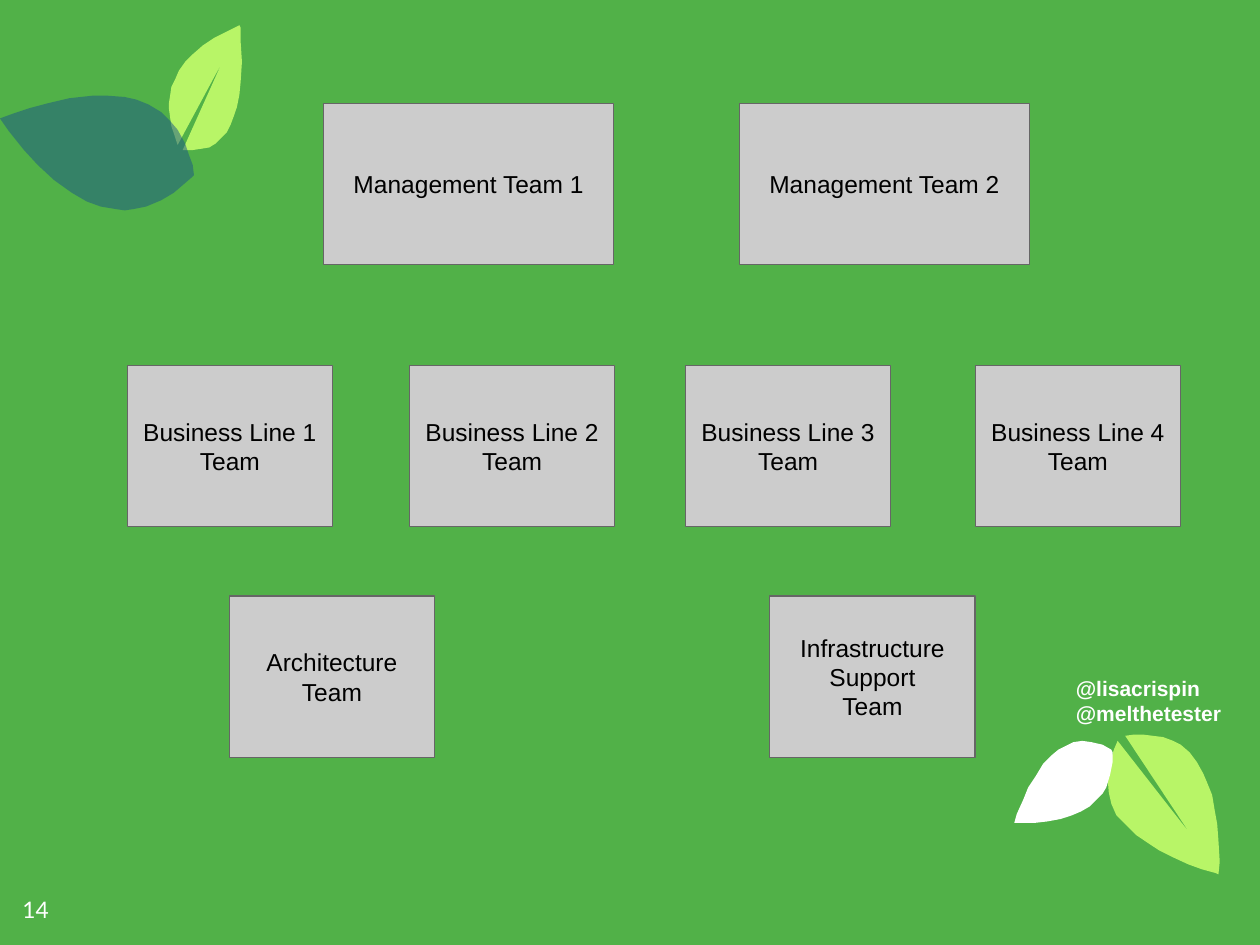
from lxml.etree import SubElement
from pptx import Presentation
from pptx.dml.color import RGBColor
from pptx.enum.shapes import MSO_SHAPE as Preset
from pptx.enum.text import MSO_ANCHOR as Anchor, PP_ALIGN as Align
from pptx.oxml.ns import qn
from pptx.util import Inches, Pt

WIDTH, HEIGHT = 10, 7.5
GREEN, LIME, BLUE, WHITE = "51B148", "B8F567", "1D5885", "FFFFFF"
GREY, EDGE, BLACK = "CCCCCC", "666666", "000000"
ROW_HEIGHT = 17.07

DARK_LEAF = [
    (154, 63), (153, 55), (150, 47), (147, 38), (141, 27), (135, 20), (128, 13), (118, 7),
    (108, 3), (99, 1), (86, 0), (73, 0), (55, 2), (38, 6), (23, 10), (11, 14), (0, 18),
    (7, 28), (19, 43), (30, 55), (43, 67), (57, 77), (69, 84), (80, 88), (92, 90),
    (99, 91), (106, 90), (116, 88), (128, 83), (138, 77), (145, 71), (152, 65)]
UPRIGHT_LEAF = [
    (0, 66), (1, 73), (2, 80), (4, 86), (7, 95), (42, 30), (11, 99), (19, 99), (26, 98),
    (32, 97), (37, 94), (42, 89), (46, 85), (49, 79), (52, 71), (54, 65), (56, 55),
    (57, 45), (58, 29), (57, 13), (57, 2), (56, 0), (50, 3), (44, 6), (36, 10), (27, 16),
    (19, 23), (13, 29), (8, 36), (5, 43), (2, 49), (1, 56), (0, 62)]
WHITE_LEAF = [
    (77, 7), (70, 3), (61, 1), (54, 0), (47, 1), (41, 4), (35, 7), (29, 12), (23, 18),
    (17, 28), (11, 37), (7, 47), (2, 58), (0, 65), (6, 65), (17, 65), (26, 64), (37, 62),
    (46, 59), (53, 56), (60, 52), (65, 47), (70, 42), (73, 37), (76, 27), (78, 17), (78, 9)]
DROOPING_LEAF = [
    (76, 31), (71, 22), (65, 14), (58, 8), (52, 5), (44, 2), (36, 1), (28, 0), (21, 0),
    (14, 1), (65, 78), (8, 5), (5, 12), (2, 22), (0, 34), (1, 46), (3, 55), (7, 64),
    (15, 72), (23, 80), (32, 86), (41, 92), (51, 97), (64, 103), (75, 107), (86, 110),
    (88, 111), (89, 101), (88, 84), (87, 71), (85, 60), (83, 48), (79, 38)]


def color(value):
    """Turn a hex string into a colour."""
    return RGBColor.from_string(value)


def place(left, top, width=0, height=0):
    """Turn percentages of the slide into lengths."""
    return [Inches(share * side / 100) for share, side in
            zip((left, top, width, height), (WIDTH, HEIGHT) * 2)]


def write(shape, text, font, size, ink, align=Align.LEFT, anchor=Anchor.MIDDLE, bold=False):
    """Fill a shape with evenly formatted text."""
    frame = shape.text_frame
    frame.text = text
    frame.word_wrap = True
    frame.vertical_anchor = anchor
    frame.margin_left = frame.margin_right = Inches(0.1)
    frame.margin_top = frame.margin_bottom = Inches(0.1)
    for para in frame.paragraphs:
        para.alignment = align
        for span in para.runs:
            span.font.name, span.font.size, span.font.bold = font, Pt(size), bold
            span.font.color.rgb = color(ink)
    return frame


def add_leaf(page, left, top, points, fill, opacity=100):
    """Draw a leaf from points in hundredths of an inch off its corner."""
    builder = page.shapes.build_freeform(*points[0], scale=Inches(0.01))
    builder.add_line_segments(points[1:], close=True)
    leaf = builder.convert_to_shape(*place(left, top)[:2])
    leaf.shadow.inherit = False
    leaf.fill.solid()
    leaf.fill.fore_color.rgb = color(fill)
    leaf.line.fill.background()
    if opacity < 100:
        shade = leaf.fill._xPr.find(".//" + qn("a:srgbClr"))
        SubElement(shade, qn("a:alpha"), val=str(opacity * 1000))


def add_team_row(page, top, width, teams):
    """Draw one row of team boxes."""
    for left, name in teams:
        box = page.shapes.add_shape(Preset.RECTANGLE, *place(left, top, width, ROW_HEIGHT))
        box.shadow.inherit = False
        box.fill.solid()
        box.fill.fore_color.rgb = color(GREY)
        box.line.color.rgb = color(EDGE)
        box.line.width = Pt(0.75)
        write(box, name, "Arial", 14, BLACK, Align.CENTER)


def add_handles(page, left, top, width, height):
    """Write the speakers' handles."""
    box = page.shapes.add_textbox(*place(left, top, width, height))
    frame = write(box, "@lisacrispin\n@melthetester", "Arial", 12, WHITE,
                  anchor=Anchor.TOP, bold=True)
    frame.margin_top = Inches(0.02)


def add_page_number(page, left, top, width, height):
    """Write the slide number."""
    box = page.shapes.add_textbox(*place(left, top, width, height))
    write(box, "14", "Lato", 13, WHITE)


def main():
    """Build the team chart slide."""
    deck = Presentation()
    deck.slide_width, deck.slide_height = Inches(WIDTH), Inches(HEIGHT)
    page = deck.slides.add_slide(deck.slide_layouts[6])
    page.background.fill.solid()
    page.background.fill.fore_color.rgb = color(GREEN)

    add_leaf(page, 87.9, 77.73, DROOPING_LEAF, LIME)
    add_leaf(page, 80.5, 78.4, WHITE_LEAF, WHITE)
    add_leaf(page, 13.4, 2.67, UPRIGHT_LEAF, LIME)
    add_leaf(page, 0, 10.13, DARK_LEAF, BLUE, opacity=52)
    add_handles(page, 84.4, 71.2, 15.6, 10.67)
    add_page_number(page, 0.8, 92.4, 6, 7.6)

    lines = [(left, f"Business Line {number} Team")
             for number, left in enumerate((10.1, 32.5, 54.4, 77.4), 1)]
    add_team_row(page, 10.93, 23, [(25.7, "Management Team 1"), (58.7, "Management Team 2")])
    add_team_row(page, 38.67, 16.3, lines)
    add_team_row(page, 63.07, 16.3, [(18.2, "Architecture Team"),
                                     (61.1, "Infrastructure Support\nTeam")])
    deck.save("out.pptx")


if __name__ == "__main__":
    main()
